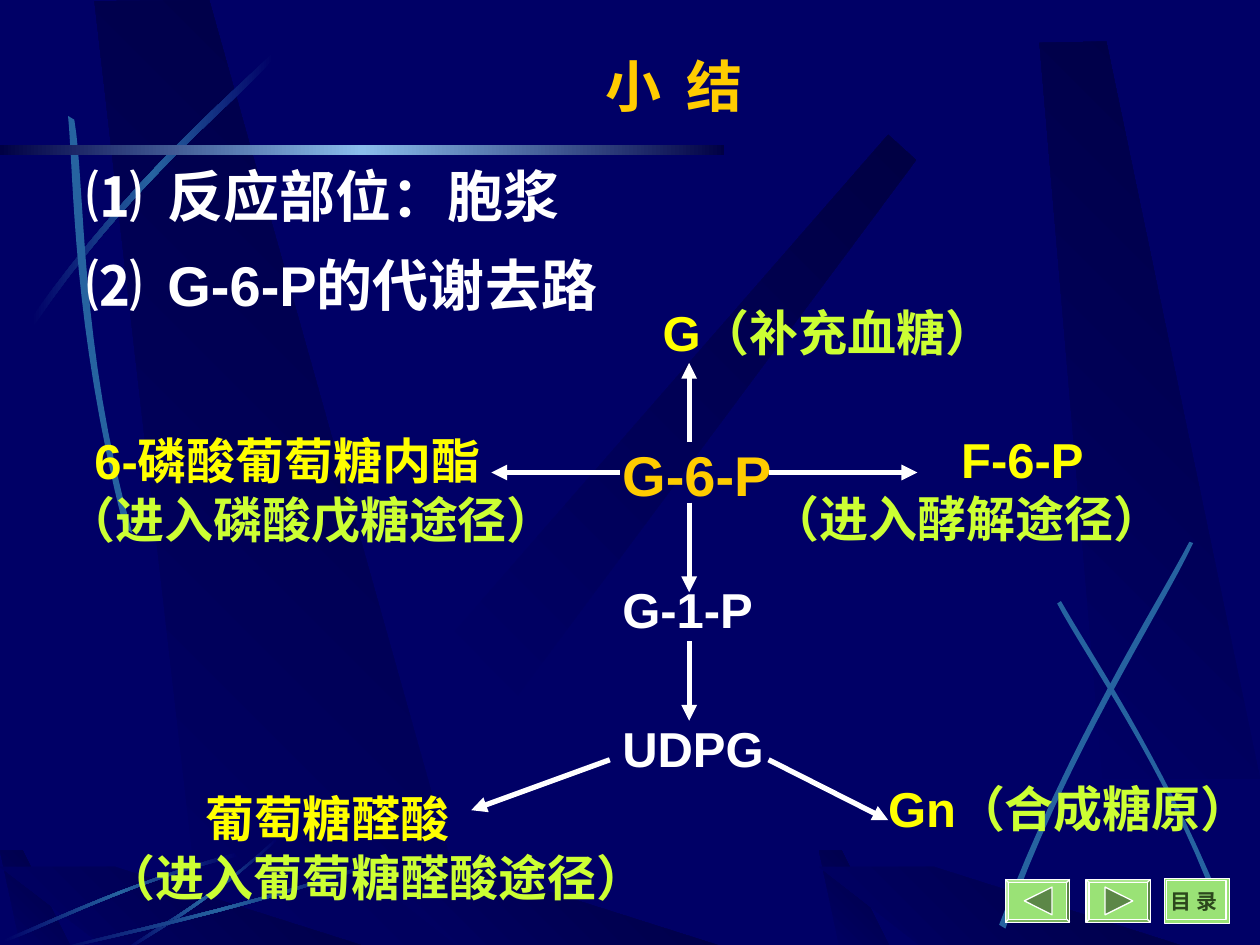
"""Build the summary slide on the metabolic fates of G-6-P."""
from lxml import etree
from pptx import Presentation
from pptx import util as u
from pptx.dml.color import RGBColor
from pptx.enum import shapes, text
from pptx.oxml.ns import qn

COLORS = {
    "navy": "000066", "shade": "000044", "ribbon": "2663A0", "glow": "8ABDEC",
    "white": "FFFFFF", "gold": "FFCC00", "yellow": "FFFF00", "lime": "CCFF33",
    "button": "9AE276", "arrow": "5C8747", "label": "2C471D",
}
LATIN, CJK, SERIF = "Arial", "Noto Sans CJK SC", "Times New Roman"

BANDS = [
    [(3.61, 5.01), (4.11, 5.52), (7.27, 1.27), (7.05, 1.07)],
    [(1.61, 7.5), (3.77, 7.52), (1.66, 0), (0.75, 0.01)],
    [(8.75, 6.18), (10, 6.18), (8.78, 0.33), (8.25, 0.34)],
    [(3.69, 7.55), (5.85, 7.55), (3.74, 6.88), (2.83, 6.88)],
    [(0.17, 7.54), (0.58, 7.55), (0.18, 6.75), (0, 6.75)],
    [(6.67, 7.55), (7.08, 7.55), (6.68, 6.75), (6.5, 6.75)],
    [(0.86, 7.54), (3.02, 7.55), (0.91, 6.88), (0, 6.88)],
    [(7.36, 7.55), (9.52, 7.55), (7.41, 6.88), (6.5, 6.88)],
]
FADING = ["navy", "ribbon", "navy"]
RIBBONS = [
    (FADING, [(0.25, 2.52), (1.08, 1.36), (1.84, 0.75), (2.16, 0.42)],
     [(2.17, 0.47), (1.85, 0.83), (0.99, 1.5), (0.26, 2.6)]),
    (["ribbon"], [(0.98, 4.18), (0.57, 2.56), (0.59, 1.45), (0.54, 0.92)],
     [(0.59, 0.95), (0.68, 1.5), (0.63, 2.76), (1.05, 4.23)]),
    (["ribbon"], [(7.93, 7.34), (8.48, 5.88), (9.18, 4.8), (9.44, 4.3)],
     [(9.47, 4.31), (9.23, 4.83), (8.43, 6.05), (7.98, 7.37)]),
    (["ribbon"], [(9.68, 7.13), (9.21, 5.99), (8.64, 5.16), (8.42, 4.77)],
     [(8.39, 4.79), (8.6, 5.19), (9.26, 6.12), (9.64, 7.16)]),
    (FADING, [(1.86, 6.77), (0.99, 7.01), (0.33, 7.34), (0.02, 7.46)],
     [(0.03, 7.48), (0.34, 7.37), (1.09, 6.98), (1.88, 6.8)]),
    (FADING, [(2.19, 6.68), (1.67, 7.16), (1.2, 7.42), (1, 7.55)],
     [(1, 7.53), (1.2, 7.38), (1.73, 7.1), (2.19, 6.65)]),
    (FADING, [(3.08, 6.83), (1.93, 7.23), (0.88, 7.44), (0.43, 7.55)],
     [(0.42, 7.54), (0.86, 7.41), (2.06, 7.18), (3.07, 6.8)]),
]

TITLE = ((4.13, 0.36, 2.44, 0.64), "小  结")
# box, size, paragraphs: (left margin, hanging indent, runs)
TEXTS = [
    ((0.59, 1.23, 4.96, 0.64), 32, [(0.64, 0.64, [("⑴\t反应部位：胞浆", "white", CJK)])]),
    ((0.59, 1.94, 5.51, 0.64), 32, [(0.64, 0.64, [
        ("⑵\t", "white", CJK), ("G-6-P", "white", LATIN), ("的代谢去路", "white", CJK)])]),
    ((5.16, 2.35, 2.99, 0.57), 28, [(0, 0, [
        ("G", "yellow", LATIN), ("（补充血糖）", "lime", LATIN)])]),
    ((4.84, 3.45, 1.57, 0.64), 32, [(0, 0, [("G-6-P", "gold", LATIN)])]),
    ((6.02, 3.36, 3.98, 1.04), 28, [
        (1.51, 0, [("F-6-P", "yellow", LATIN)]),
        (0, 0, [("（进入酵解途径）", "lime", LATIN)])]),
    ((4.84, 4.55, 1.42, 0.57), 28, [(0, 0, [("G-1-P", "white", LATIN)])]),
    ((4.84, 5.65, 1.65, 0.57), 28, [(0, 0, [("UDPG", "white", LATIN)])]),
    ((6.95, 6.13, 3.16, 0.57), 28, [(0, 0, [
        ("Gn", "yellow", LATIN), ("（合成糖原）", "lime", LATIN)])]),
    ((0.43, 3.37, 4.25, 1.04), 28, [
        (0.22, 0, [("6-磷酸葡萄糖内酯", "yellow", LATIN)]),
        (0, 0, [("（进入磷酸戊糖途径）", "lime", LATIN)])]),
    ((0.75, 6.21, 4.47, 1.04), 28, [
        (0.78, 0, [("葡萄糖醛酸", "yellow", LATIN)]),
        (0, 0, [("（进入葡萄糖醛酸途径）", "lime", LATIN)])]),
    ((9.19, 7, 0.57, 0.3), 12, [(0, 0, [("目 录", "label", SERIF)])]),
]
ARROWS = [
    (5.47, 3.51, 5.47, 2.88), (5.47, 3.99, 5.47, 4.7), (5.47, 5.09, 5.47, 5.72),
    (6.1, 3.75, 7.28, 3.75), (4.92, 3.75, 3.9, 3.75),
    (4.84, 6.03, 3.74, 6.43), (6.1, 6.03, 7.05, 6.51),
]
BUTTONS = [(7.98, -1), (8.62, 1)]
MENU_FRAMES = [(9.24, 6.97, 0.52, 0.36), (9.26, 6.99, 0.47, 0.31)]


def rgb(name):
    return RGBColor.from_string(COLORS[name])


def inches(values):
    return [u.Inches(value) for value in values]


def paint(shape, names, angle=0, outline=None):
    shape.shadow.inherit = False
    if len(names) == 1:
        shape.fill.solid()
        shape.fill.fore_color.rgb = rgb(names[0])
    else:
        shape.fill.gradient()
        shape.fill.gradient_angle = angle
        stops = shape._element.spPr.find(".//" + qn("a:gsLst"))
        for stop in list(stops):
            stops.remove(stop)
        for index, name in enumerate(names):
            position = str(100000 * index // (len(names) - 1))
            stop = etree.SubElement(stops, qn("a:gs"), pos=position)
            etree.SubElement(stop, qn("a:srgbClr"), val=COLORS[name])
    if outline:
        shape.line.color.rgb = rgb(outline)
        shape.line.width = u.Pt(0.75)
    else:
        shape.line.fill.background()


def add_polygon(slide, points):
    start, *others = [inches(point) for point in points]
    builder = slide.shapes.build_freeform(*start)
    builder.add_line_segments(others, close=True)
    return builder.convert_to_shape()


def curve(controls, steps=16):
    for step in range(steps + 1):
        t = step / steps
        weights = ((1 - t) ** 3, 3 * t * (1 - t) ** 2, 3 * t * t * (1 - t), t ** 3)
        yield tuple(sum(w * p[axis] for w, p in zip(weights, controls)) for axis in (0, 1))


def add_run(paragraph, words, size, color, font):
    run = paragraph.add_run()
    run.text = words
    run.font.size = u.Pt(size)
    run.font.bold = True
    run.font.name = font
    run.font.color.rgb = rgb(color)
    etree.SubElement(run._r.get_or_add_rPr(), qn("a:ea"), typeface=CJK)


def add_text(slide, box, size, paragraphs):
    frame = slide.shapes.add_textbox(*inches(box)).text_frame
    frame.word_wrap = True
    frame.margin_right = 0
    for index, (margin, hanging, runs) in enumerate(paragraphs):
        paragraph = frame.add_paragraph() if index else frame.paragraphs[0]
        properties = paragraph._p.get_or_add_pPr()
        properties.set("marL", str(u.Inches(margin)))
        properties.set("indent", str(-u.Inches(hanging)))
        for words, color, font in runs:
            add_run(paragraph, words, size, color, font)


def add_arrow(slide, ends):
    arrow = slide.shapes.add_connector(shapes.MSO_CONNECTOR.STRAIGHT, *inches(ends))
    arrow.line.color.rgb = rgb("white")
    arrow.line.width = u.Pt(3)
    etree.SubElement(arrow.line._get_or_add_ln(), qn("a:tailEnd"), type="triangle")
    etree.SubElement(arrow._element.spPr, qn("a:effectLst"))


def add_title(slide, box, words):
    title = slide.shapes.title
    title.left, title.top, title.width, title.height = inches(box)
    frame = title.text_frame
    frame.word_wrap = True
    frame.vertical_anchor = text.MSO_ANCHOR.TOP
    frame.paragraphs[0].alignment = text.PP_ALIGN.CENTER
    add_run(frame.paragraphs[0], words, 32, "gold", CJK)


def add_backdrop(slide):
    slide.background.fill.solid()
    slide.background.fill.fore_color.rgb = rgb("navy")
    for band in BANDS:
        paint(add_polygon(slide, band), ["navy", "shade"], 45)
    for colors, outward, inward in RIBBONS:
        paint(add_polygon(slide, [*curve(outward), *curve(inward)]), colors)
    bar = slide.shapes.add_shape(shapes.MSO_SHAPE.RECTANGLE, *inches((0, 1.15, 5.75, 0.08)))
    paint(bar, ["shade", "glow", "shade"])


def add_buttons(slide):
    for left, direction in BUTTONS:
        box = inches((left, 6.98, 0.51, 0.34))
        button = slide.shapes.add_shape(shapes.MSO_SHAPE.BEVEL, *box)
        button.adjustments[0] = 0.07
        paint(button, ["button"], outline="white")
        center = left + 0.26
        base, tip = center - 0.11 * direction, center + 0.11 * direction
        triangle = add_polygon(slide, [(base, 7.04), (tip, 7.15), (base, 7.26)])
        paint(triangle, ["arrow"], outline="white")
    for box in MENU_FRAMES:
        frame = slide.shapes.add_shape(shapes.MSO_SHAPE.RECTANGLE, *inches(box))
        paint(frame, ["button"], outline="white")


def main():
    presentation = Presentation()
    presentation.slide_width, presentation.slide_height = inches((10, 7.5))
    slide = presentation.slides.add_slide(presentation.slide_layouts[5])
    add_backdrop(slide)
    add_buttons(slide)
    add_title(slide, *TITLE)
    for item in TEXTS:
        add_text(slide, *item)
    for ends in ARROWS:
        add_arrow(slide, ends)
    presentation.save("out.pptx")


if __name__ == "__main__":
    main()
